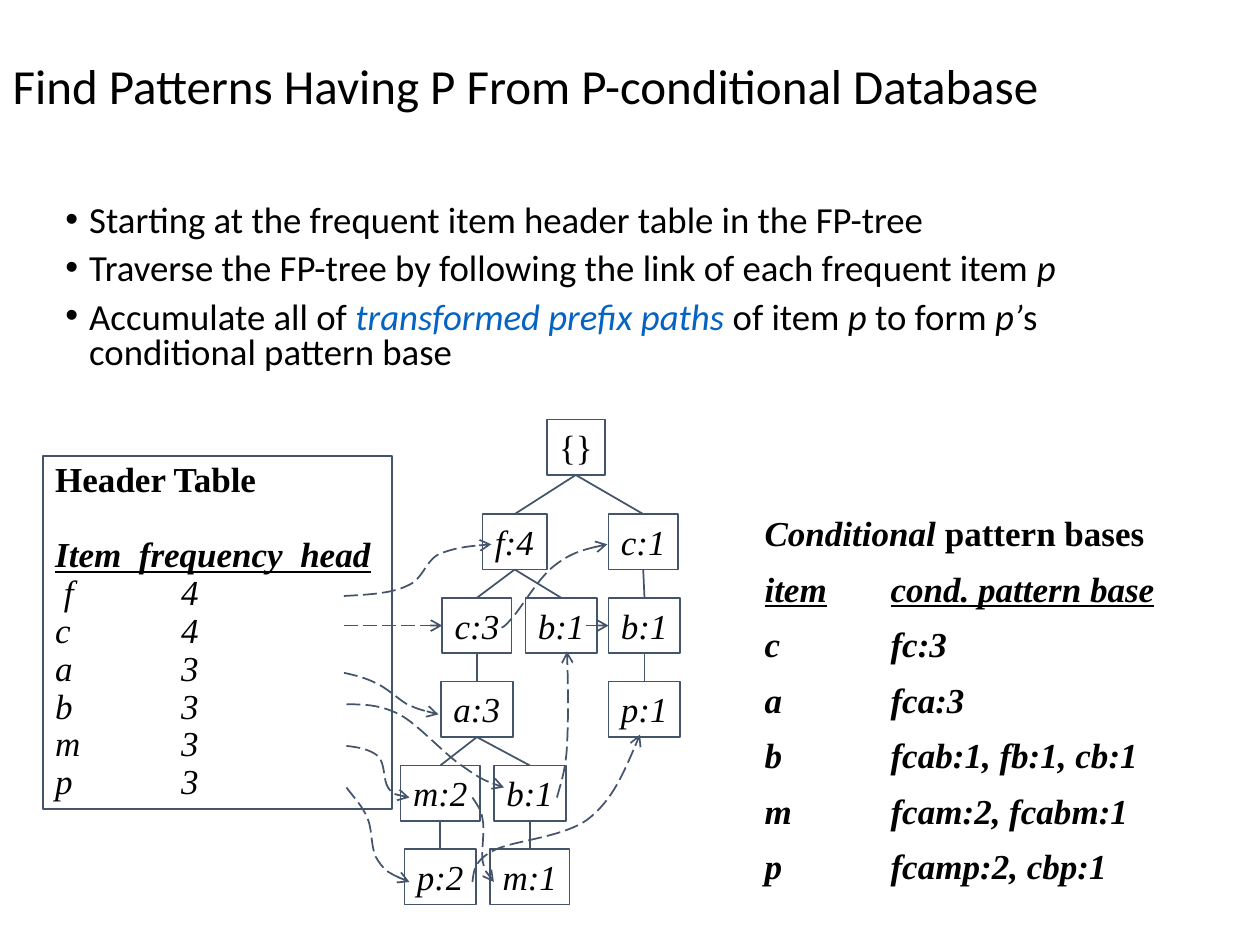
from typing import NamedTuple, Optional

from lxml import etree
from pptx import Presentation
from pptx import util as u
from pptx.dml.color import RGBColor
from pptx.enum import dml, shapes, text
from pptx.oxml.ns import qn

BLACK = RGBColor(0x00, 0x00, 0x00)
BLUE = RGBColor(0x05, 0x63, 0xC1)
SLATE = RGBColor(0x44, 0x54, 0x6A)
SANS, SERIF = "Calibri", "Times New Roman"

# Tree rows: the root, then evenly spaced levels
ROOT_TOP, LEVEL_TOP, LEVEL_STEP, NODE_HEIGHT = 3.33, 4.08, 0.665, 0.44


class Span(NamedTuple):
    text: str
    italic: bool = False
    color: RGBColor = BLACK


class Node(NamedTuple):
    key: str
    label: str
    left: float
    width: float
    level: int
    parent: Optional[str] = None


NODES = [
    Node("root", "{}", 4.34, 0.46, 0),
    Node("f", "f:4", 3.83, 0.51, 1, "root"),
    Node("c", "c:1", 4.83, 0.55, 1, "root"),
    Node("cb", "b:1", 4.83, 0.57, 2, "c"),
    Node("cbp", "p:1", 4.83, 0.57, 3, "cb"),
    Node("fb", "b:1", 4.17, 0.57, 2, "f"),
    Node("fc", "c:3", 3.51, 0.55, 2, "f"),
    Node("fca", "a:3", 3.5, 0.57, 3, "fc"),
    Node("fcab", "b:1", 3.92, 0.57, 4, "fca"),
    Node("fcam", "m:2", 3.18, 0.63, 4, "fca"),
    Node("fcamp", "p:2", 3.21, 0.57, 5, "fcam"),
    Node("fcabm", "m:1", 3.89, 0.63, 5, "fcab"),
]

# Cubic curves: a start point, then two controls and an end per segment
CURVED_LINKS = [
    [(2.73, 4.73), (2.92, 4.72), (3.11, 4.71), (3.23, 4.65), (3.36, 4.6),
     (3.37, 4.46), (3.48, 4.4), (3.6, 4.35), (3.75, 4.33), (3.9, 4.32)],
    [(3.98, 4.98), (3.99, 4.98), (4, 4.98), (4.07, 4.9), (4.14, 4.82),
     (4.28, 4.58), (4.4, 4.49), (4.53, 4.39), (4.67, 4.35), (4.82, 4.32)],
    [(2.73, 5.34), (2.82, 5.36), (2.9, 5.38), (2.98, 5.42), (3.07, 5.46),
     (3.15, 5.54), (3.23, 5.59), (3.32, 5.63), (3.4, 5.65), (3.48, 5.67)],
    [(2.75, 5.59), (2.88, 5.59), (3.01, 5.59), (3.17, 5.67), (3.32, 5.75),
     (3.53, 5.99), (3.67, 6.08), (3.81, 6.18), (3.9, 6.22), (4, 6.25)],
    [(4.42, 6.33), (4.45, 6.22), (4.49, 6.11), (4.5, 5.92), (4.51, 5.72),
     (4.51, 5.45), (4.5, 5.17)],
    [(2.75, 5.92), (2.85, 5.93), (2.94, 5.95), (3, 6), (3.06, 6.06),
     (3.04, 6.19), (3.08, 6.25), (3.12, 6.31), (3.19, 6.32), (3.25, 6.33)],
    [(3.75, 6.33), (3.78, 6.38), (3.82, 6.42), (3.83, 6.5), (3.85, 6.58),
     (3.82, 6.75), (3.83, 6.83), (3.85, 6.92), (3.88, 6.96), (3.92, 7)],
    [(2.75, 6.25), (2.81, 6.33), (2.88, 6.4), (2.92, 6.5), (2.96, 6.6),
     (2.94, 6.75), (3, 6.83), (3.06, 6.92), (3.15, 6.96), (3.25, 7)],
    [(3.75, 7), (3.76, 6.92), (3.76, 6.83), (3.92, 6.75), (4.07, 6.67),
     (4.47, 6.65), (4.67, 6.5), (4.86, 6.35), (4.97, 6.09), (5.08, 5.83)],
]
STRAIGHT_LINKS = [(2.73, "fc"), (4.65, "cb")]

BULLETS = [
    [Span("Starting at the frequent item header table in the FP-tree")],
    [Span("Traverse the FP-tree by following the link of each frequent item "),
     Span("p", True)],
    [Span("Accumulate all of "), Span("transformed prefix paths", True, BLUE),
     Span(" of item "), Span("p ", True), Span("to form "), Span("p’", True),
     Span("s conditional pattern base")],
]
FREQUENCIES = [" f\t4", "c\t4", "a\t3", "b\t3", "m\t3", "p\t3"]
PATTERN_BASES = ["c\tfc:3", "a\tfca:3", "b\tfcab:1, fb:1, cb:1",
                 "m\tfcam:2, fcabm:1", "p\tfcamp:2, cbp:1"]


def write(frame, spans: list[Span], font: str = SERIF, size: float = 20,
          bold: bool = False, underline: bool = False, spacing: float = 1.0,
          before: float = 0, bullet: bool = False) -> None:
    """Add one left-aligned paragraph, using the frame's empty first one."""
    para = frame.paragraphs[0]
    if para.runs:
        para = frame.add_paragraph()
    para.alignment = text.PP_ALIGN.LEFT
    para.line_spacing = spacing
    para.space_before = u.Pt(before)
    props = para._p.get_or_add_pPr()
    if bullet:
        props.set("marL", str(u.Inches(0.19)))
        props.set("indent", str(u.Inches(-0.19)))
        etree.SubElement(props, qn("a:buFont"), typeface="Arial")
        etree.SubElement(props, qn("a:buChar"), char="•")
    if any("\t" in span.text for span in spans):
        tabs = etree.SubElement(props, qn("a:tabLst"))
        etree.SubElement(tabs, qn("a:tab"), pos=str(u.Inches(1)), algn="l")
    for span in spans:
        run = para.add_run()
        run.text = span.text
        run.font.name, run.font.size = font, u.Pt(size)
        run.font.bold, run.font.italic = bold, span.italic
        run.font.underline = underline
        run.font.color.rgb = span.color


def add_text_box(page, left: float, top: float, width: float, height: float):
    box = page.shapes.add_textbox(*map(u.Inches, (left, top, width, height)))
    box.text_frame.word_wrap = True
    return box.text_frame


def add_box(page, left: float, top: float, width: float, height: float):
    box = page.shapes.add_shape(shapes.MSO_SHAPE.RECTANGLE,
                                *map(u.Inches, (left, top, width, height)))
    box.shadow.inherit = False
    box.fill.background()
    style_line(box)
    box.text_frame.word_wrap = False
    box.text_frame.vertical_anchor = text.MSO_ANCHOR.TOP
    return box


def style_line(shape, link: bool = False) -> None:
    shape.line.color.rgb = SLATE
    shape.line.width = u.Pt(1)
    if link:
        shape.line.dash_style = dml.MSO_LINE.LONG_DASH
        outline = shape.element.spPr.find(qn("a:ln"))
        etree.SubElement(outline, qn("a:tailEnd"), type="arrow")


def add_line(page, start: tuple, target, site: int, link: bool = False):
    x, y = start
    line = page.shapes.add_connector(shapes.MSO_CONNECTOR.STRAIGHT, x, y, x, y)
    line.end_connect(target, site)
    style_line(line, link)
    etree.SubElement(line.element.spPr, qn("a:effectLst"))
    return line


def add_curve(page, points: list[tuple[float, float]]) -> None:
    """Build the outline through all points, then bend each three into a curve."""
    start, *rest = [(u.Inches(x), u.Inches(y)) for x, y in points]
    builder = page.shapes.build_freeform(*start)
    builder.add_line_segments(rest, close=False)
    curve = builder.convert_to_shape()
    segments = list(curve.element.iter(qn("a:lnTo")))
    outline = segments[0].getparent()
    for first in range(0, len(segments), 3):
        bend = etree.SubElement(outline, qn("a:cubicBezTo"))
        for segment in segments[first:first + 3]:
            bend.append(segment[0])
            outline.remove(segment)
    curve.shadow.inherit = False
    curve.fill.background()
    style_line(curve, link=True)


def main() -> None:
    deck = Presentation()
    deck.slide_width, deck.slide_height = u.Inches(10), u.Inches(7.5)
    page = deck.slides.add_slide(deck.slide_layouts[5])

    # Title
    title = page.shapes.title
    title.left, title.top = u.Inches(0), u.Inches(0.33)
    title.width, title.height = u.Inches(10), u.Inches(0.75)
    title.text_frame.vertical_anchor = text.MSO_ANCHOR.MIDDLE
    write(title.text_frame,
          [Span("Find Patterns Having P From P-conditional Database")],
          font=SANS, size=28, spacing=0.9)

    # Steps
    steps = add_text_box(page, 0.42, 1.58, 9.17, 1.67)
    for spans in BULLETS:
        write(steps, spans, font=SANS, size=21, spacing=0.8, before=7.5, bullet=True)

    # Conditional pattern bases
    bases = add_text_box(page, 5.97, 4.01, 3.64, 3.08)
    write(bases, [Span("Conditional ", True), Span("pattern bases")],
          bold=True, before=12.5)
    for row in ["item\tcond. pattern base", *PATTERN_BASES]:
        write(bases, [Span(row, True)], bold=True, spacing=0.8, before=12.5,
              underline=row.startswith("item"))

    # FP-tree
    boxes = {}
    for node in NODES:
        top = LEVEL_TOP + LEVEL_STEP * (node.level - 1) if node.level else ROOT_TOP
        box = add_box(page, node.left, top, node.width, NODE_HEIGHT)
        write(box.text_frame, [Span(node.label, italic=node.key != "root")])
        boxes[node.key] = box
        if node.parent:
            parent = boxes[node.parent]
            branch = add_line(page, (parent.left, parent.top), box, 0)
            branch.begin_connect(parent, 2)

    # Header table
    header = add_box(page, 0.34, 3.62, 2.77, 2.8).text_frame
    write(header, [Span("Header Table")], bold=True, spacing=0.9)
    write(header, [Span("Item  frequency  head", True)], bold=True,
          underline=True, spacing=0.9, before=21.5)
    for row in FREQUENCIES:
        write(header, [Span(row, True)], spacing=0.9)

    # Node links
    for points in CURVED_LINKS:
        add_curve(page, points)
    for left, key in STRAIGHT_LINKS:
        add_line(page, (u.Inches(left), boxes[key].top + boxes[key].height // 2),
                 boxes[key], 1, link=True)

    deck.save("out.pptx")


if __name__ == "__main__":
    main()
